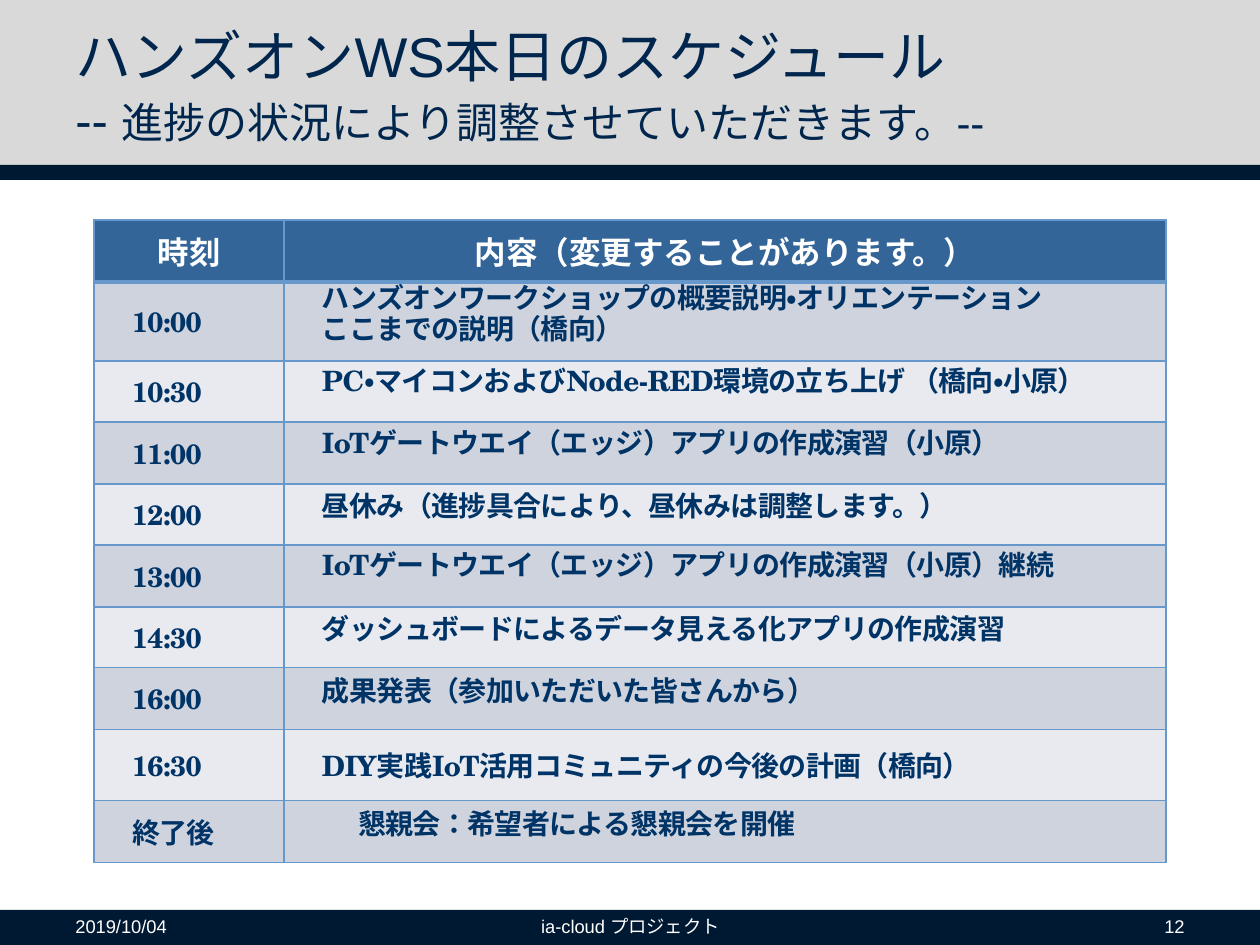
import pptx
import pptx.dml.color
import pptx.enum.lang
import pptx.enum.shapes
import pptx.enum.text
import pptx.oxml
import pptx.oxml.ns
import pptx.util

ALIGN = pptx.enum.text.PP_ALIGN
MIDDLE = pptx.enum.text.MSO_ANCHOR.MIDDLE
EMU_PER_PX = 914400 / 126

SCHEDULE = [
    ("10:00", ["ハンズオンワークショップの概要説明・オリエンテーション", "ここまでの説明（橋向）"]),
    ("10:30", ["PC・マイコンおよびNode-RED環境の立ち上げ （橋向・小原）"]),
    ("11:00", ["IoTゲートウエイ（エッジ）アプリの作成演習（小原）"]),
    ("12:00", ["昼休み（進捗具合により、昼休みは調整します。）"]),
    ("13:00", ["IoTゲートウエイ（エッジ）アプリの作成演習（小原）継続"]),
    ("14:30", ["ダッシュボードによるデータ見える化アプリの作成演習"]),
    ("16:00", ["成果発表（参加いただいた皆さんから）"]),
    ("16:30", ["DIY実践IoT活用コミュニティの今後の計画（橋向）"]),
    ("終了後", ["懇親会：希望者による懇親会を開催"]),
]
COLUMN_WIDTHS = [190, 882]
ROW_HEIGHTS = [62, 79, 61, 62, 61, 62, 61, 62, 71, 62]


def px(length):
    return pptx.util.Emu(round(length * EMU_PER_PX))


def color(hex_string):
    return pptx.dml.color.RGBColor.from_string(hex_string)


def add_text(paragraph, text, *, size, color_hex, font="Arial", bold=False, spacing=0):
    run = paragraph.add_run()
    run.text = text
    run.font.size = pptx.util.Pt(size)
    run.font.name = font
    run.font.bold = bold
    run.font.color.rgb = color(color_hex)
    run.font.language_id = pptx.enum.lang.MSO_LANGUAGE_ID.JAPANESE
    if spacing:
        run._r.get_or_add_rPr().set("spc", str(round(spacing * 100)))


class SlideBuilder:
    """Holds the deck's style and the slide being built."""

    navy = "001933"
    band = "D9D9D9"
    title_color = "00264D"
    body_color = "003366"
    white = "FFFFFF"
    header_fill = "336599"
    row_fills = ("CED3DE", "E8EAEF")
    border = "6698CC"
    body_font = "TeX Gyre Schola"

    def __init__(self, slide):
        self.slide = slide

    def rectangle(self, left, top, width, height, fill):
        shape = self.slide.shapes.add_shape(
            pptx.enum.shapes.MSO_SHAPE.RECTANGLE, px(left), px(top), px(width), px(height))
        shape.shadow.inherit = False
        shape.fill.solid()
        shape.fill.fore_color.rgb = color(fill)
        shape.line.fill.background()

    def text_box(self, left, top, width, height, align=ALIGN.LEFT):
        """Add a middle-anchored box and return its first paragraph."""
        frame = self.slide.shapes.add_textbox(px(left), px(top), px(width), px(height)).text_frame
        frame.word_wrap = True
        frame.vertical_anchor = MIDDLE
        frame.paragraphs[0].alignment = align
        return frame.paragraphs[0]

    def title(self, heading, dash, note):
        paragraph = self.text_box(63, 35, 1072, 100)
        add_text(paragraph, heading, size=32, color_hex=self.title_color)
        paragraph.add_line_break()
        add_text(paragraph, dash, size=28, color_hex=self.title_color)
        add_text(paragraph, note, size=24, color_hex=self.title_color)

    def footer(self, left, width, text, align):
        paragraph = self.text_box(left, 910, width, 33, align)
        add_text(paragraph, text, size=10.5, color_hex=self.white)

    def table(self, left, top, column_widths, row_heights):
        shape = self.slide.shapes.add_table(
            len(row_heights), len(column_widths), px(left), px(top),
            px(sum(column_widths)), px(sum(row_heights)))
        for column, width in zip(shape.table.columns, column_widths):
            column.width = px(width)
        for row, height in zip(shape.table.rows, row_heights):
            row.height = px(height)
        return shape.table

    def cell(self, cell, fill, top_line=1, bottom_line=1):
        """Give a cell its borders, fill, margins and anchor."""
        properties = cell._tc.get_or_add_tcPr()
        for side, width in (("L", 1), ("R", 1), ("T", top_line), ("B", bottom_line)):
            properties.append(pptx.oxml.parse_xml(
                f'<a:ln{side} {pptx.oxml.ns.nsdecls("a")} w="{pptx.util.Pt(width)}">'
                f'<a:solidFill><a:srgbClr val="{self.border}"/></a:solidFill></a:ln{side}>'))
        cell.fill.solid()
        cell.fill.fore_color.rgb = color(fill)
        cell.margin_left = cell.margin_right = cell.margin_top = cell.margin_bottom = 0
        cell.vertical_anchor = MIDDLE

    def header_cell(self, cell, text):
        self.cell(cell, self.header_fill, bottom_line=3)
        paragraph = cell.text_frame.paragraphs[0]
        paragraph.alignment = ALIGN.CENTER
        add_text(paragraph, text, size=18, color_hex=self.white, bold=True)

    def body_cell(self, cell, lines, row, indent=38, tight=False):
        self.cell(cell, self.row_fills[(row - 1) % 2], top_line=3 if row == 1 else 1)
        frame = cell.text_frame
        for index, line in enumerate(lines):
            paragraph = frame.add_paragraph() if index else frame.paragraphs[0]
            properties = paragraph._p.get_or_add_pPr()
            properties.set("marL", str(px(indent)))
            properties.set("indent", "0")
            if tight:
                paragraph.line_spacing = pptx.util.Pt(12)
                paragraph.space_after = pptx.util.Pt(6)
            add_text(paragraph, line, size=16, color_hex=self.body_color,
                     font=self.body_font, bold=True, spacing=-0.3)


def main():
    presentation = pptx.Presentation()
    presentation.slide_width = px(1260)
    presentation.slide_height = px(945)
    builder = SlideBuilder(presentation.slides.add_slide(presentation.slide_layouts[6]))

    builder.rectangle(0, 0, 1260, 165, builder.band)
    builder.rectangle(0, 165, 1260, 15, builder.navy)
    builder.rectangle(0, 910, 1260, 35, builder.navy)
    builder.title("ハンズオンWS本日のスケジュール", "-- ", "進捗の状況により調整させていただきます。--")

    table = builder.table(94, 220, COLUMN_WIDTHS, ROW_HEIGHTS)
    for column, heading in enumerate(("時刻", "内容（変更することがあります。）")):
        builder.header_cell(table.cell(0, column), heading)
    for row, (time, lines) in enumerate(SCHEDULE, start=1):
        builder.body_cell(table.cell(row, 0), [time], row)
        builder.body_cell(table.cell(row, 1), lines, row,
                          indent=74 if time == "終了後" else 38, tight=time != "16:30")

    builder.footer(63, 294, "2019/10/04", ALIGN.LEFT)
    builder.footer(431, 399, "ia-cloud プロジェクト", ALIGN.CENTER)
    builder.footer(903, 294, "12", ALIGN.RIGHT)
    presentation.save("out.pptx")


if __name__ == "__main__":
    main()
